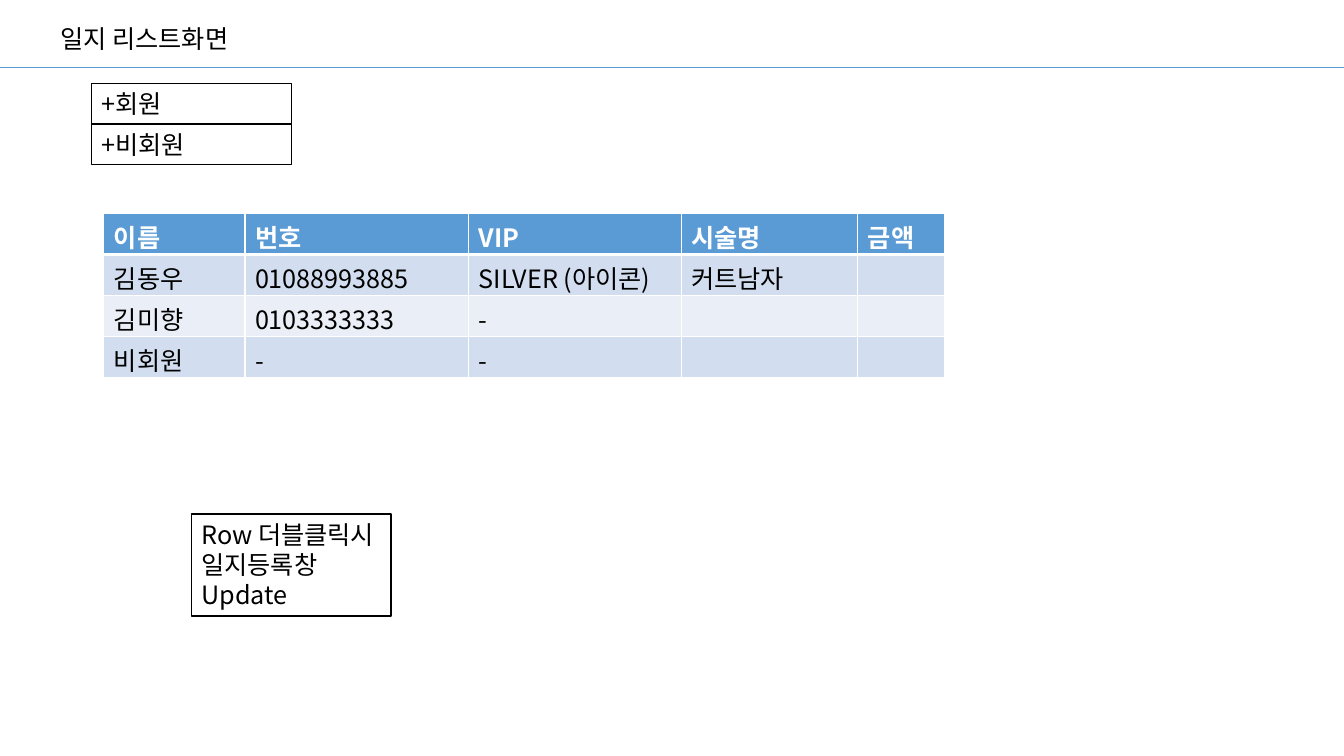
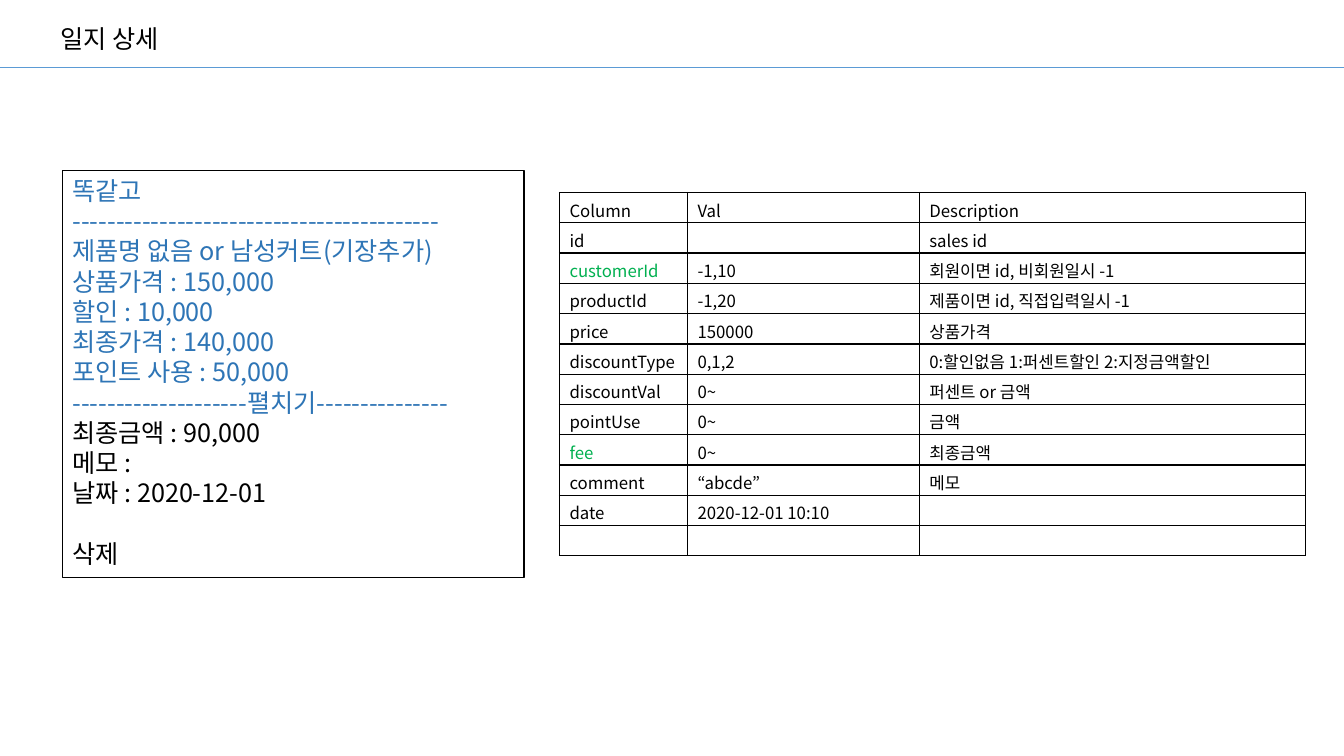
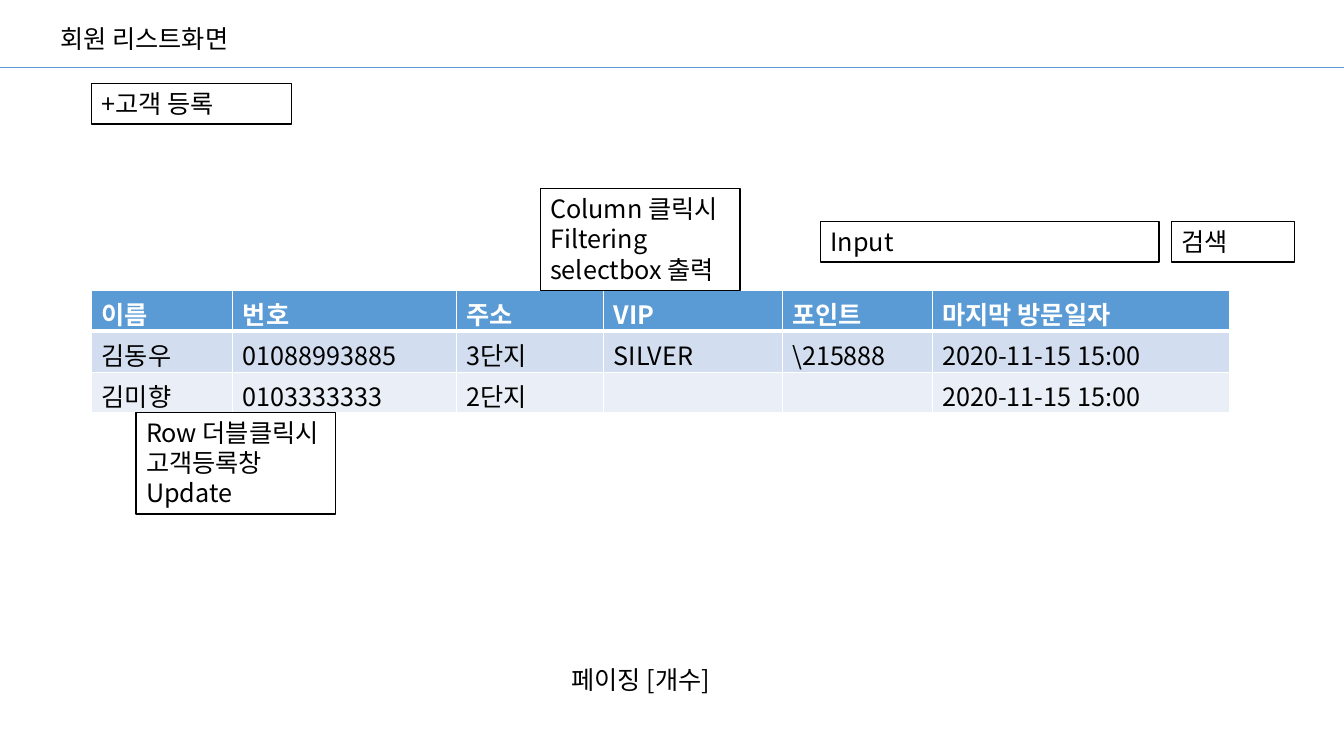
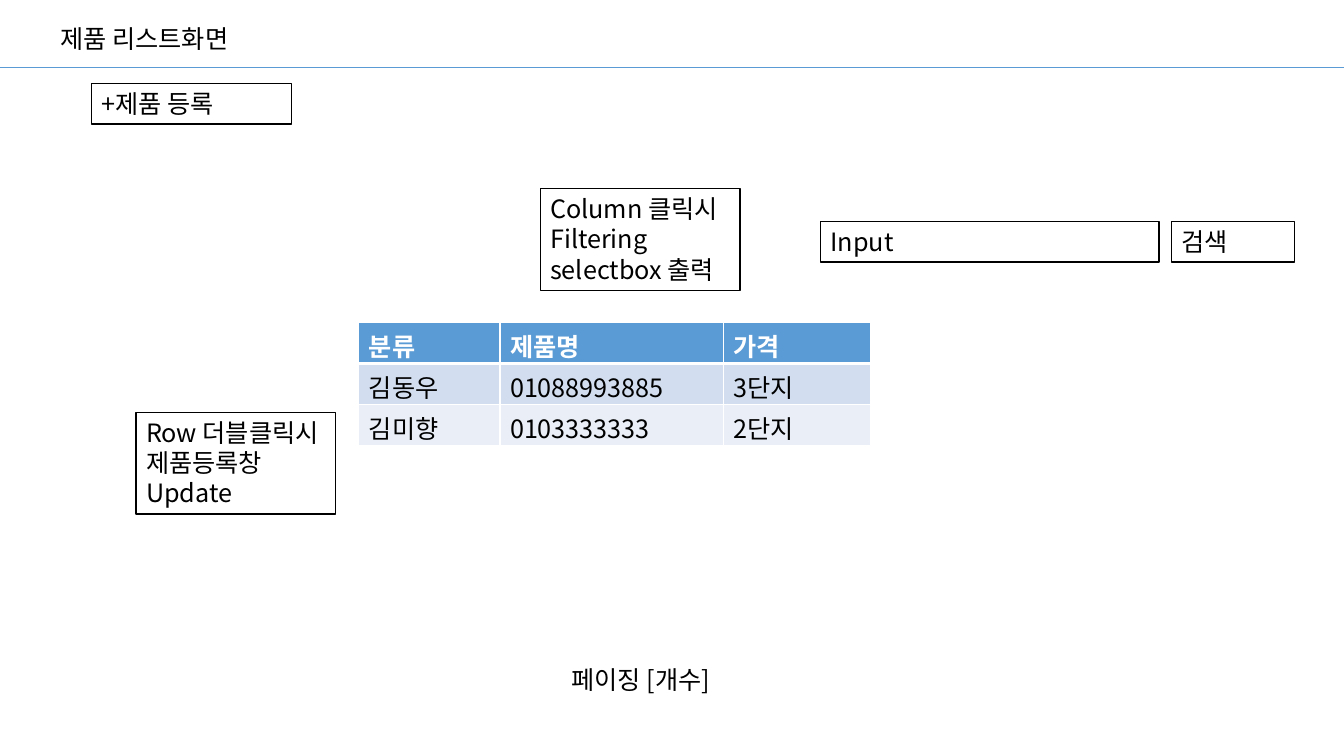
from dataclasses import dataclass, field

import pptx
import pptx.dml.color
import pptx.enum.shapes
import pptx.enum.text
import pptx.oxml.ns
import pptx.oxml.xmlchemy
import pptx.util
from lxml import etree

FONT = "Noto Sans CJK KR"
BLACK, WHITE = "000000", "FFFFFF"
ACCENT, BAND_DARK, BAND_LIGHT = "5B9BD5", "D2DEEF", "EAEFF7"
BLUE_TEXT, GREEN_TEXT = "2E75B6", "00B050"
BODY_SIZE, SMALL_SIZE = 18, 12
LINE_HEIGHT = 21.6
COLUMNS, ROWS = 133.33, 75  # grid steps across and down the slide
TITLE_RULE = 6.7
SINGLE, TRIPLE = 4, 10.1  # heights of one-line and three-line boxes


@dataclass
class Panel:
    """A text box on the grid, framed or plain."""
    left: float
    top: float
    width: float
    height: float
    text: str = ""
    framed: bool = True


@dataclass
class Sheet:
    """A table on the grid with its column widths and cell texts."""
    left: float
    top: float
    widths: list[float]
    cells: list[list[str]]
    row_height: float = 4.06
    size: float = BODY_SIZE
    banded: bool = True
    highlights: set[str] = field(default_factory=set)


@dataclass
class Screen:
    """One slide: its title, its table and its panels."""
    title: str
    sheet: Sheet
    panels: list[Panel]


deck = pptx.Presentation()
deck.slide_width = pptx.util.Inches(13.333)
deck.slide_height = pptx.util.Inches(7.5)


def across(steps: float) -> int:
    """Turn grid columns into a length."""
    return round(deck.slide_width * steps / COLUMNS)


def down(steps: float) -> int:
    """Turn grid rows into a length."""
    return round(deck.slide_height * steps / ROWS)


def colour(code: str) -> pptx.dml.color.RGBColor:
    """Turn a hex string into a colour."""
    return pptx.dml.color.RGBColor.from_string(code)


def write(frame, text: str, *, size: float = BODY_SIZE, color: str = BLACK,
          bold: bool = False, space_before: float = 0) -> None:
    """Append each line of the text to the frame as a paragraph."""
    for line in text.split("\n"):
        para = frame.add_paragraph() if frame.text else frame.paragraphs[0]
        if not line:
            end = etree.SubElement(para._p, pptx.oxml.ns.qn("a:endParaRPr"))
            end.set("sz", str(size * 100))
            continue
        if space_before:
            para.space_before = pptx.util.Pt(space_before)
        para.alignment = pptx.enum.text.PP_ALIGN.LEFT
        span = para.add_run()
        span.text = line
        span.font.size = pptx.util.Pt(size)
        span.font.bold = bold
        span.font.color.rgb = colour(color)
        span.font.name = FONT
        east_asian = etree.SubElement(span.font._element, pptx.oxml.ns.qn("a:ea"))
        east_asian.set("typeface", FONT)


def draw_panel(page, panel: Panel):
    """Draw a text box and return its text frame."""
    place = (across(panel.left), down(panel.top), across(panel.width), down(panel.height))
    if panel.framed:
        box = page.shapes.add_shape(pptx.enum.shapes.MSO_SHAPE.RECTANGLE, *place)
        box.shadow.inherit = False
        box.fill.solid()
        box.fill.fore_color.rgb = colour(WHITE)
        box.line.color.rgb = colour(BLACK)
        box.line.width = pptx.util.Pt(1)
    else:
        box = page.shapes.add_textbox(*place)
    frame = box.text_frame
    frame.word_wrap = True
    frame.auto_size = pptx.enum.text.MSO_AUTO_SIZE.SHAPE_TO_FIT_TEXT
    frame.vertical_anchor = pptx.enum.text.MSO_ANCHOR.TOP
    if panel.text:
        write(frame, panel.text)
    return frame


def draw_borders(cell, color: str, widths: dict[str, float]) -> None:
    """Give a cell borders, by side letter and width in points."""
    properties = cell._tc.get_or_add_tcPr()
    for position, (side, width) in enumerate(widths.items()):
        edge = etree.Element(pptx.oxml.ns.qn(f"a:ln{side}"), w=str(pptx.util.Pt(width)))
        fill = etree.SubElement(edge, pptx.oxml.ns.qn("a:solidFill"))
        etree.SubElement(fill, pptx.oxml.ns.qn("a:srgbClr"), val=color)
        properties.insert(position, edge)


def draw_cell(cell, text: str, row: int, sheet: Sheet) -> None:
    """Fill, frame and write one table cell."""
    borders = {"L": 1, "R": 1, "T": 1, "B": 1}
    header = sheet.banded and row == 0
    if sheet.banded:
        cell.fill.solid()
        band = BAND_DARK if row % 2 else BAND_LIGHT
        cell.fill.fore_color.rgb = colour(ACCENT if header else band)
        if header:
            borders["B"] = 3
        elif row == 1:
            del borders["T"]
    else:
        cell.fill.background()
    draw_borders(cell, WHITE if sheet.banded else BLACK, borders)
    plain = GREEN_TEXT if text in sheet.highlights else BLACK
    write(cell.text_frame, text, size=sheet.size, color=WHITE if header else plain, bold=header)


def draw_sheet(page, sheet: Sheet) -> None:
    """Draw a table."""
    count = len(sheet.cells)
    table = page.shapes.add_table(
        count, len(sheet.widths), across(sheet.left), down(sheet.top),
        across(sum(sheet.widths)), down(sheet.row_height * count)).table
    table.first_row = sheet.banded
    table.horz_banding = sheet.banded
    for column, width in zip(table.columns, sheet.widths):
        column.width = across(width)
    for index, texts in enumerate(sheet.cells):
        table.rows[index].height = down(sheet.row_height)
        for position, text in enumerate(texts):
            draw_cell(table.cell(index, position), text, index, sheet)


def draw_screen(screen: Screen):
    """Add a slide with its title, rule, table and panels."""
    page = deck.slides.add_slide(deck.slide_layouts[6])
    draw_panel(page, Panel(5, 1.8, 45.9, SINGLE, screen.title, framed=False))
    rule = page.shapes.add_connector(
        pptx.enum.shapes.MSO_CONNECTOR.STRAIGHT,
        0, down(TITLE_RULE), deck.slide_width, down(TITLE_RULE))
    rule.line.color.rgb = colour(ACCENT)
    rule.line.width = pptx.util.Pt(0.5)
    etree.SubElement(rule._element.spPr, pptx.oxml.ns.qn("a:effectLst"))
    draw_sheet(page, screen.sheet)
    for panel in screen.panels:
        draw_panel(page, panel)
    return page


def add_button(text: str, order: int = 0) -> Panel:
    """Describe a registration button, stacked by order."""
    return Panel(9.1, 8.3 + order * 4.05, 19.8, SINGLE, text)


def search_panels(subject: str) -> list[Panel]:
    """Describe the panels that the searchable lists share."""
    return [
        add_button(f"+{subject} 등록"),
        Panel(116.2, 22, 12.2, SINGLE, "검색"),
        Panel(81.4, 22, 33.6, SINGLE, "Input"),
        Panel(53.6, 18.7, 19.8, TRIPLE, "Column 클릭시\nFiltering selectbox 출력"),
        Panel(55.7, 65.4, 27.2, SINGLE, "페이징 [개수]", framed=False),
        Panel(13.5, 40.9, 19.8, TRIPLE, f"Row 더블클릭시 {subject}등록창 Update"),
    ]


journal_list = Screen(
    "일지 리스트화면",
    Sheet(10.3, 21.2, [14, 22.2, 21.1, 17.5, 8.6], [
        ["이름", "번호", "VIP", "시술명", "금액"],
        ["김동우", "01088993885", "SILVER (아이콘)", "커트남자", ""],
        ["김미향", "0103333333", "-", "", ""],
        ["비회원", "-", "-", "", ""],
    ]),
    [
        Panel(19, 51, 19.8, TRIPLE, "Row 더블클릭시 일지등록창\nUpdate"),
        add_button("+회원"),
        add_button("+비회원", 1),
    ])

journal_detail = Screen(
    "일지 상세",
    Sheet(55.5, 19.1, [12.7, 23, 38.3], [
        ["Column", "Val", "Description"],
        ["id", "", "sales id"],
        ["customerId", "-1,10", "회원이면 id, 비회원일시 -1"],
        ["productId", "-1,20", "제품이면 id, 직접입력일시 -1"],
        ["price", "150000", "상품가격"],
        ["discountType", "0,1,2", "0:할인없음 1:퍼센트할인 2:지정금액할인"],
        ["discountVal", "0~", "퍼센트 or 금액"],
        ["pointUse", "0~", "금액"],
        ["fee", "0~", "최종금액"],
        ["comment", "“abcde”", "메모"],
        ["date", "2020-12-01 10:10", ""],
        ["", "", ""],
    ], row_height=3, size=SMALL_SIZE, banded=False, highlights={"customerId", "fee"}),
    [])

member_list = Screen(
    "회원 리스트화면",
    Sheet(9.1, 28.8, [14, 22.2, 14.6, 17.7, 14.9, 29.5], [
        ["이름", "번호", "주소", "VIP", "포인트", "마지막 방문일자"],
        ["김동우", "01088993885", "3단지", "SILVER", "\\215888", "2020-11-15 15:00"],
        ["김미향", "0103333333", "2단지", "", "", "2020-11-15 15:00"],
    ]),
    search_panels("고객"))

product_list = Screen(
    "제품 리스트화면",
    Sheet(35.6, 32, [14, 22.2, 14.6], [
        ["분류", "제품명", "가격"],
        ["김동우", "01088993885", "3단지"],
        ["김미향", "0103333333", "2단지"],
    ]),
    search_panels("제품"))

draw_screen(journal_list)
detail_page = draw_screen(journal_detail)
receipt = draw_panel(detail_page, Panel(6.2, 16.9, 45.8, 40.4))
write(receipt, "\n".join([
    "똑같고",
    "-" * 42,
    "제품명 없음 or 남성커트(기장추가)",
    "상품가격 : 150,000",
    "할인 : 10,000",
    "최종가격 : 140,000",
    "포인트 사용 : 50,000",
    "-" * 20 + "펼치기" + "-" * 15,
]), color=BLUE_TEXT)
write(receipt, "최종금액 : 90,000\n메모 :\n날짜 : 2020-12-01")
write(receipt, "삭제", space_before=LINE_HEIGHT)
draw_screen(member_list)
draw_screen(product_list)

deck.save("out.pptx")
